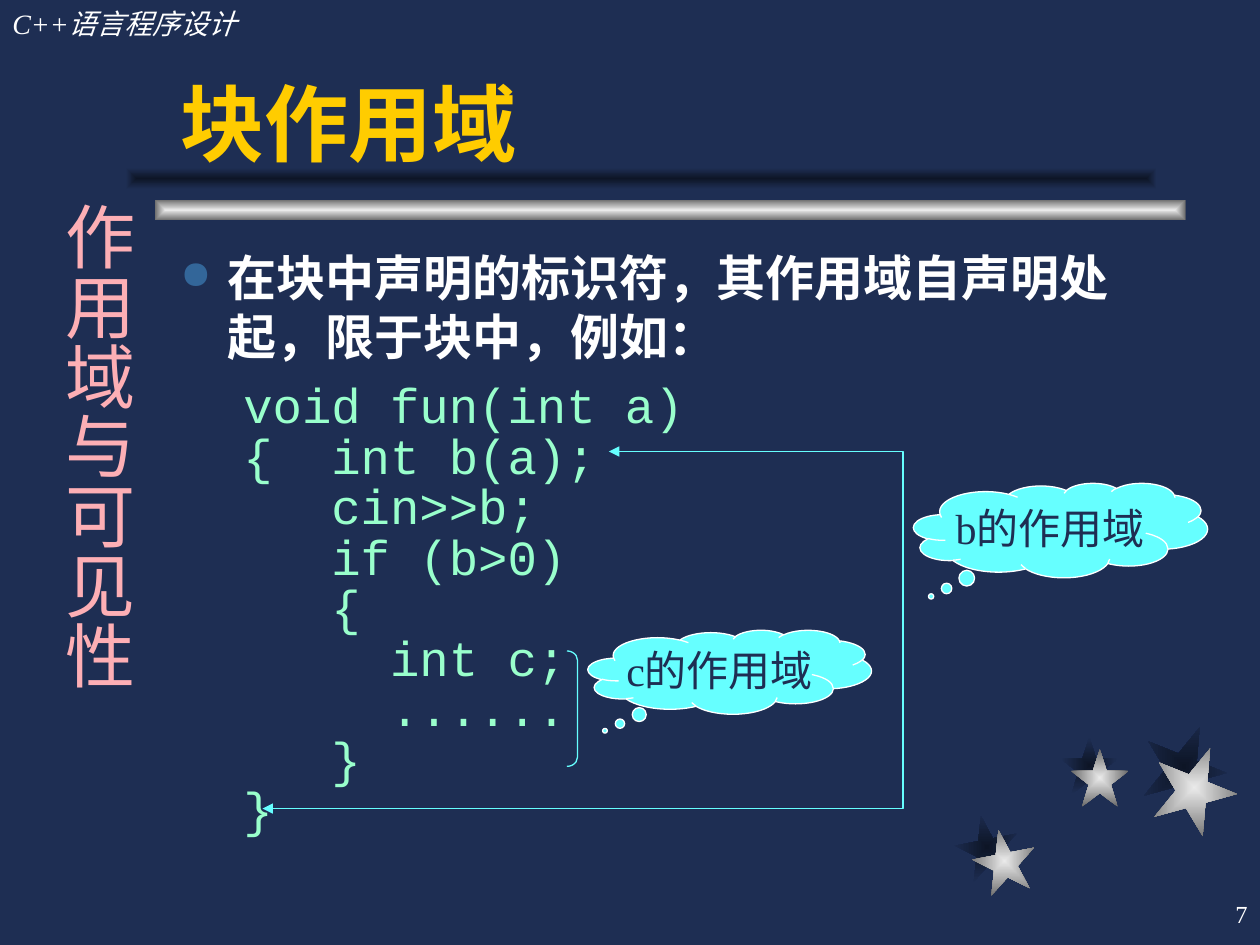
from dataclasses import dataclass

from lxml import etree
from pptx import Presentation
from pptx import util as u
from pptx.dml.color import RGBColor
from pptx.enum import shapes, text
from pptx.oxml import ns, parse_xml

Pt = u.Pt
SHAPE = shapes.MSO_SHAPE
ALIGN = text.PP_ALIGN
ANCHOR = text.MSO_ANCHOR


@dataclass(frozen=True)
class Theme:
    ground: str = "1E2E53"
    shade: str = "0D1526"
    silver: str = "EAEAEA"
    steel: str = "6B6B6B"
    gold: str = "FFCC00"
    white: str = "FFFFFF"
    mint: str = "99FFCC"
    cyan: str = "66FFFF"
    pink: str = "FDAFB5"
    dot: str = "336699"
    serif: str = "Times New Roman"
    sans: str = "Arial"
    mono: str = "Courier New"
    title: float = 48
    side: float = 40
    body: float = 28
    cloud: float = 24
    course: float = 16
    number: float = 14
    rule: float = 0.75


THEME = Theme()
DARK = (THEME.shade, THEME.ground)
METAL = (THEME.silver, THEME.steel)

CODE = """void fun(int a)
{  int b(a);
   cin>>b;
   if (b>0)
   {
     int c;
     ......
   }
}"""


def color(value):
    return RGBColor.from_string(value)


def apply(target, formats):
    for name, value in formats.items():
        setattr(target, name, value)


def write(para, words, face, size, ink, **formats):
    span = para.add_run()
    span.text = words
    apply(span.font, {"name": face, "size": Pt(size), **formats})
    span.font.color.rgb = color(ink)


def text_frame(owner, **formats):
    frame = owner.text_frame
    apply(frame, {"word_wrap": True, "margin_left": Pt(7.2), "margin_right": Pt(7.2),
                  "margin_top": Pt(3.6), "margin_bottom": Pt(3.6), **formats})
    return frame


def text_box(page, box, **formats):
    return text_frame(page.shapes.add_textbox(*map(Pt, box)), **formats)


def add_preset(page, kind, box):
    shape = page.shapes.add_shape(kind, *map(Pt, box))
    shape.shadow.inherit = False
    return shape


def outline(shape, ink):
    shape.line.color.rgb = color(ink)
    shape.line.width = Pt(THEME.rule)


def glow(shape, ends):
    """Fill with a gradient running from the centre to the edges."""
    shape.line.fill.background()
    stops = "".join(f'<a:gs pos="{pos}"><a:srgbClr val="{ink}"/></a:gs>'
                    for pos, ink in zip((0, 100000), ends))
    fill = parse_xml(
        f'<a:gradFill {ns.nsdecls("a")} rotWithShape="0"><a:gsLst>{stops}</a:gsLst>'
        '<a:path path="rect"><a:fillToRect l="50000" t="50000" r="50000" b="50000"/>'
        '</a:path></a:gradFill>')
    shape.element.spPr.find(ns.qn("a:prstGeom")).addnext(fill)


def add_stars(page, box):
    left, top = box[:2]
    stars = (
        (DARK, ((0, 52, 36, 349), (60, 7, 33, 0), (106.5, 0, 48, 22))),
        (METAL, ((10, 60, 36, 349), (66, 14, 33, 0), (112.5, 12, 48, 22))),
    )
    for ends, places in stars:
        for x, y, size, turn in places:
            star = add_preset(page, SHAPE.STAR_5_POINT, (left + x, top + y, size, size))
            star.rotation = turn
            glow(star, ends)


def add_bars(page, box):
    left, top, width, height = box
    thick, shift = 12, 16.5
    for x, y, ends in ((left + shift, top + height - thick, METAL), (left, top, DARK)):
        glow(add_preset(page, SHAPE.RECTANGLE, (x, y, width - shift, thick)), ends)


def add_label(page, box, words, face, size, ink, align=ALIGN.LEFT, frame=None, **font):
    para = text_box(page, box, **(frame or {})).paragraphs[0]
    para.alignment = align
    write(para, words, face, size, ink, **font)


def add_side_title(page, box):
    frame = text_box(page, box, margin_left=Pt(3.6), margin_right=Pt(3.6),
                     margin_top=Pt(7.2), margin_bottom=Pt(7.2))
    frame._txBody.bodyPr.set("vert", "eaVert")
    frame.paragraphs[0].alignment = ALIGN.CENTER
    write(frame.paragraphs[0], "作用域与可见性", THEME.serif, THEME.side, THEME.pink)


def hang(para, margin, indent):
    props = para._p.get_or_add_pPr()
    props.set("marL", str(Pt(margin)))
    props.set("indent", str(Pt(indent)))
    return props


def add_body(page, box):
    frame = text_box(page, box)
    lead = frame.paragraphs[0]
    props = hang(lead, 27, -27)
    tint = etree.SubElement(props, ns.qn("a:buClr"))
    etree.SubElement(tint, ns.qn("a:srgbClr"), val=THEME.dot)
    etree.SubElement(props, ns.qn("a:buSzPct"), val="80000")
    etree.SubElement(props, ns.qn("a:buChar"), char="●")
    lead.space_after = Pt(8.8)
    write(lead, "在块中声明的标识符，其作用域自声明处起，限于块中，例如：",
          THEME.sans, THEME.body, THEME.white, bold=True)
    for line in CODE.splitlines():
        para = frame.add_paragraph()
        hang(para, 58.5, -22.5)
        apply(para, {"line_spacing": 0.65, "space_before": Pt(7)})
        write(para, line, THEME.mono, THEME.body, THEME.mint)


def add_cloud(page, box, words):
    cloud = add_preset(page, SHAPE.CLOUD_CALLOUT, box)
    cloud.adjustments[0], cloud.adjustments[1] = -0.44, 0.7
    cloud.fill.solid()
    cloud.fill.fore_color.rgb = color(THEME.cyan)
    outline(cloud, THEME.white)
    frame = text_frame(cloud, word_wrap=False, vertical_anchor=ANCHOR.MIDDLE)
    frame.paragraphs[0].alignment = ALIGN.CENTER
    write(frame.paragraphs[0], words, THEME.serif, THEME.cloud, THEME.ground)


def add_inner_scope(page, box):
    left, top, width, height = box
    add_cloud(page, (left + 12, top, width - 12, 48), "c的作用域")
    bracket = add_preset(page, SHAPE.RIGHT_BRACKET, (left, top + 12, 6, height - 12))
    bracket.adjustments[0] = 0.87
    bracket.fill.background()
    outline(bracket, THEME.cyan)


def add_outer_scope(page, box):
    left, top, width, height = box
    right, bottom = left + width, top + height
    corners = [(Pt(x), Pt(y)) for x, y in
               ((left + 198, top), (right, top), (right, bottom), (left, bottom))]
    builder = page.shapes.build_freeform(*corners[0])
    builder.add_line_segments(corners[1:], close=False)
    path = builder.convert_to_shape()
    path.shadow.inherit = False
    path.fill.background()
    outline(path, THEME.cyan)
    for end in ("a:headEnd", "a:tailEnd"):
        etree.SubElement(path.line._get_or_add_ln(), ns.qn(end), type="triangle")
    add_cloud(page, (right + 6, top + 18, 168, 54), "b的作用域")


def build():
    deck = Presentation()
    deck.slide_width, deck.slide_height = Pt(720), Pt(540)
    page = deck.slides.add_slide(deck.slide_layouts[6])
    page.background.fill.solid()
    page.background.fill.fore_color.rgb = color(THEME.ground)

    # Decoration and running header
    add_stars(page, (546, 414, 161, 96))
    add_bars(page, (72, 96, 605.5, 30))
    add_label(page, (0, 0, 222, 27), "C++语言程序设计", THEME.serif, THEME.course,
              THEME.white, italic=True)

    # Title and body
    add_label(page, (96, 36, 570, 66), "块作用域", THEME.sans, THEME.title, THEME.gold,
              frame={"vertical_anchor": ANCHOR.BOTTOM}, bold=True)
    add_body(page, (96, 138, 570, 360))

    # Scope markers
    add_inner_scope(page, (324, 360, 174, 78))
    add_outer_scope(page, (150, 258, 366, 204))

    # Chapter name and page number
    add_side_title(page, (21.5, 108, 62, 348))
    add_label(page, (570, 504, 150, 36), "7", THEME.serif, THEME.number, THEME.white,
              align=ALIGN.RIGHT, frame={"vertical_anchor": ANCHOR.MIDDLE})
    deck.save("out.pptx")


if __name__ == "__main__":
    build()
